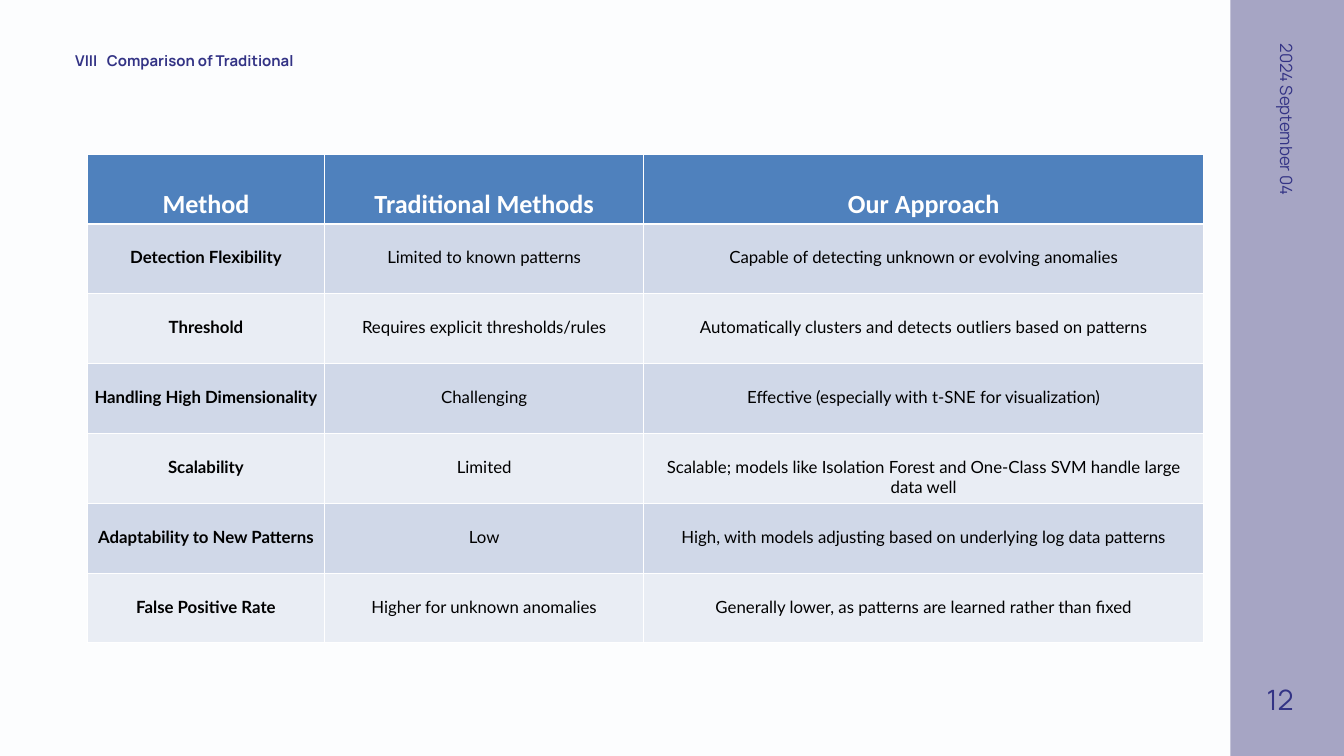
from lxml import etree
from pptx import Presentation
from pptx import util as u
from pptx.dml import color
from pptx.enum import shapes, text
from pptx.oxml import ns

WHITE, BLACK, INDIGO = "FFFFFF", "000000", "333385"
LAVENDER, PAPER = "A6A5C4", "FCFDFE"
HEADER_BLUE, BANDS = "4F81BD", ("D0D8E8", "E9EDF4")
LEFT, CENTER, RIGHT = text.PP_ALIGN.LEFT, text.PP_ALIGN.CENTER, text.PP_ALIGN.RIGHT

COLUMNS = (17.65, 23.75, 41.65)
ROW_HEIGHT = 9.24
COMPARISON = (
    ("Method", "Traditional Methods", "Our Approach"),
    ("Detection Flexibility", "Limited to known patterns",
     "Capable of detecting unknown or evolving anomalies"),
    ("Threshold", "Requires explicit thresholds/rules",
     "Automatically clusters and detects outliers based on patterns"),
    ("Handling High Dimensionality", "Challenging",
     "Effective (especially with t-SNE for visualization)"),
    ("Scalability", "Limited",
     "Scalable; models like Isolation Forest and One-Class SVM handle large data well"),
    ("Adaptability to New Patterns", "Low",
     "High, with models adjusting based on underlying log data patterns"),
    ("False Positive Rate", "Higher for unknown anomalies",
     "Generally lower, as patterns are learned rather than fixed"),
)


def rgb(value):
    return color.RGBColor.from_string(value)


def paint(fill, value):
    fill.solid()
    fill.fore_color.rgb = rgb(value)


class Slide:
    font = "Manrope"

    def __init__(self, deck):
        self.deck = deck
        self.page = deck.slides.add_slide(deck.slide_layouts[5])
        paint(self.page.background.fill, PAPER)

    def across(self, percent):
        return round(self.deck.slide_width * percent / 100)

    def down(self, percent):
        return round(self.deck.slide_height * percent / 100)

    def area(self, left, top, width, height):
        return self.across(left), self.down(top), self.across(width), self.down(height)

    def typeset(self, frame, words, size, ink=INDIGO, font=None, bold=False, align=LEFT):
        frame.text = words
        frame.word_wrap = True
        para = frame.paragraphs[0]
        para.alignment = align
        for span in para.runs:
            span.font.name = font or self.font
            span.font.size = u.Pt(size)
            span.font.bold = bold
            span.font.color.rgb = rgb(ink)
        return para

    def label(self, box, words, size, leading, **style):
        frame = box.text_frame
        frame.margin_left = frame.margin_right = frame.margin_top = frame.margin_bottom = 0
        frame.auto_size = text.MSO_AUTO_SIZE.NONE
        frame.vertical_anchor = text.MSO_ANCHOR.TOP
        self.typeset(frame, words, size, **style).line_spacing = u.Pt(leading)

    def title(self, place, words, size, leading, **style):
        box = self.page.shapes.title
        box.left, box.top, box.width, box.height = self.area(*place)
        self.label(box, words, size, leading, **style)

    def caption(self, place, words, size, leading, rotation=0, **style):
        box = self.page.shapes.add_textbox(*self.area(*place))
        box.rotation = rotation
        self.label(box, words, size, leading, **style)

    def panel(self, place, value):
        box = self.page.shapes.add_shape(shapes.MSO_SHAPE.RECTANGLE, *self.area(*place))
        box.shadow.inherit = False
        paint(box.fill, value)
        box.line.fill.background()

    def border(self, cell, bottom):
        properties = cell._tc.get_or_add_tcPr()
        widths = {"lnL": 1, "lnR": 1, "lnT": 1, "lnB": bottom}
        for index, (side, width) in enumerate(widths.items()):
            line = etree.Element(ns.qn("a:" + side), w=str(u.Pt(width)))
            fill = etree.SubElement(line, ns.qn("a:solidFill"))
            etree.SubElement(fill, ns.qn("a:srgbClr"), val=WHITE)
            properties.insert(index, line)

    def table(self, left, top, columns, row_height, rows):
        place = self.area(left, top, sum(columns), row_height * len(rows))
        table = self.page.shapes.add_table(len(rows), len(columns), *place).table
        table.horz_banding = False
        for column, width in zip(table.columns, columns):
            column.width = self.across(width)
        for r, words in enumerate(rows):
            table.rows[r].height = self.down(row_height)
            header = r == 0
            for c, entry in enumerate(words):
                cell = table.cell(r, c)
                paint(cell.fill, HEADER_BLUE if header else BANDS[(r - 1) % 2])
                cell.vertical_anchor = text.MSO_ANCHOR.TOP
                cell.margin_top = u.Inches(0.52 if header else 0.35)
                cell.margin_bottom = u.Inches(0.04)
                self.typeset(cell.text_frame, entry, 28 if header else 18,
                             ink=WHITE if header else BLACK,
                             font="Calibri" if header else "Lato",
                             bold=header or c == 0, align=CENTER)
                self.border(cell, 3 if header else 1)


def main():
    deck = Presentation()
    deck.slide_width, deck.slide_height = u.Inches(20), u.Inches(11.25)
    slide = Slide(deck)
    slide.panel((91.55, 0, 8.45, 100), LAVENDER)
    slide.caption((89.65, 15.29, 12.45, 3.11), "2024 September 04", 18, 25.2, rotation=90)
    slide.caption((5.6, 6.93, 2.2, 2.4), "VIII", 16, 18.7, bold=True)
    slide.title((7.95, 6.93, 17.7, 2.4), "Comparison of Traditional", 16, 18.7, bold=True)
    slide.caption((92.5, 88.8, 3.75, 5.42), "12", 30, 48, align=RIGHT)
    slide.table(6.5, 20.36, COLUMNS, ROW_HEIGHT, COMPARISON)
    deck.save("out.pptx")


if __name__ == "__main__":
    main()
